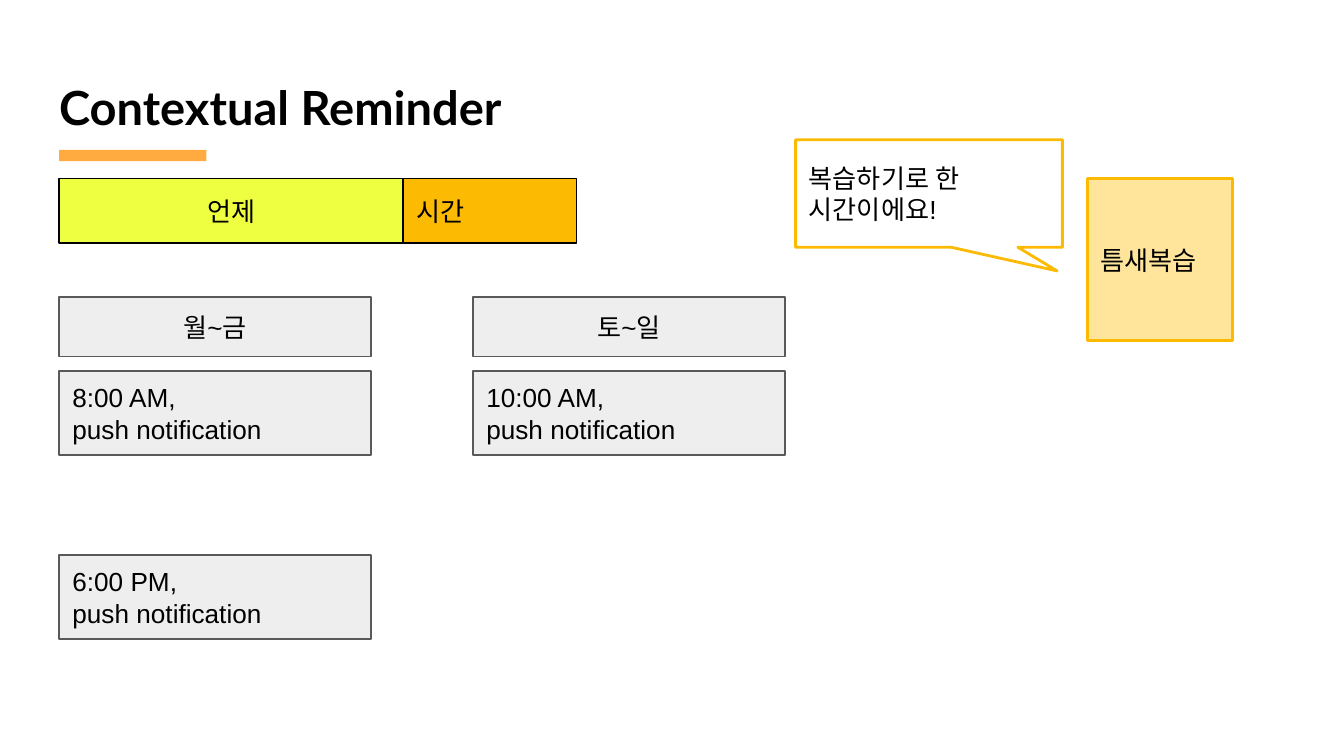
"""Build the Contextual Reminder slide."""
from lxml.etree import SubElement
from pptx import Presentation
from pptx.dml.color import RGBColor
from pptx.enum.shapes import MSO_SHAPE as SHAPE
from pptx.enum.text import MSO_ANCHOR as ANCHOR, PP_ALIGN as ALIGN
from pptx.oxml.ns import qn
from pptx.util import Emu, Pt

PX = 4572
BLACK = RGBColor(0x00, 0x00, 0x00)
ORANGE = RGBColor(0xFF, 0xAB, 0x40)
LIME = RGBColor(0xEE, 0xFF, 0x41)
AMBER = RGBColor(0xFC, 0xBA, 0x03)
CREAM = RGBColor(0xFF, 0xDF, 0x87)
LIGHT_GRAY = RGBColor(0xEE, 0xEE, 0xEE)
DARK_GRAY = RGBColor(0x59, 0x59, 0x59)

LEFT, BOX_W, COLUMN_STEP = 88, 464, 616
DAY_TOP, DAY_H = 442, 89
NOTICE_TOP, NOTICE_STEP, NOTICE_H = 552, 274, 125
SCHEDULE = [("월~금", ["8:00 AM", "6:00 PM"]), ("토~일", ["10:00 AM"])]


def px(*lengths):
    return [Emu(n * PX) for n in lengths]


def write_text(sp, text, size=14, font="Arial", bold=False, align=ALIGN.LEFT,
               anchor=ANCHOR.MIDDLE):
    tf = sp.text_frame
    tf.word_wrap = True
    tf.vertical_anchor = anchor
    tf.margin_left, tf.margin_top, tf.margin_right, tf.margin_bottom = px(20, 20, 20, 20)
    tf.text = text
    for p in tf.paragraphs:
        p.alignment = align
        for r in p.runs:
            r.font.size = Pt(size)
            r.font.name = font
            r.font.bold = bold
            r.font.color.rgb = BLACK


def add_box(s, box, text="", fill=None, line=None, width=0.75, kind=SHAPE.RECTANGLE,
            alpha=None, **text_format):
    sp = s.shapes.add_shape(kind, *px(*box))
    sp.shadow.inherit = False
    if fill is None:
        sp.fill.background()
    else:
        sp.fill.solid()
        sp.fill.fore_color.rgb = fill
    if alpha is not None:
        color = sp.element.spPr.find(qn("a:solidFill"))[0]
        SubElement(color, qn("a:alpha"), val=str(alpha * 1000))
    if line is None:
        sp.line.fill.background()
    else:
        sp.line.color.rgb = line
        sp.line.width = Pt(width)
    if text:
        write_text(sp, text, **text_format)
    return sp


def add_title(s, text):
    title = s.shapes.title
    title.left, title.top, title.width, title.height = px(68, 97, 1864, 126)
    write_text(title, text, size=25.2, font="Lato", bold=True, anchor=ANCHOR.TOP)
    add_box(s, (LEFT, 223, 219, 17), fill=ORANGE)


def add_context_bar(s):
    add_box(s, (LEFT, 266, 512, 96), "언제", fill=LIME, line=BLACK, align=ALIGN.CENTER)
    add_box(s, (600, 266, 258, 96), "시간", fill=AMBER, line=BLACK)


def add_schedule(s):
    gray = dict(fill=LIGHT_GRAY, line=DARK_GRAY)
    for column, (days, times) in enumerate(SCHEDULE):
        x = LEFT + column * COLUMN_STEP
        add_box(s, (x, DAY_TOP, BOX_W, DAY_H), days, align=ALIGN.CENTER, **gray)
        for row, time in enumerate(times):
            y = NOTICE_TOP + row * NOTICE_STEP
            add_box(s, (x, y, BOX_W, NOTICE_H), f"{time},\npush notification", **gray)


def add_reminder(s):
    add_box(s, (1618, 266, 216, 241), "틈새복습", fill=CREAM, alpha=82, line=AMBER, width=1.5)
    callout = add_box(s, (1184, 208, 397, 160), "복습하기로 한 시간이에요!", line=AMBER,
                      width=1.5, kind=SHAPE.RECTANGULAR_CALLOUT)
    callout.adjustments[0] = 0.48
    callout.adjustments[1] = 0.72


def main():
    prs = Presentation()
    prs.slide_width, prs.slide_height = px(2000, 1125)
    s = prs.slides.add_slide(prs.slide_layouts[5])
    add_title(s, "Contextual Reminder")
    add_context_bar(s)
    add_schedule(s)
    add_reminder(s)
    prs.save("out.pptx")


if __name__ == "__main__":
    main()
